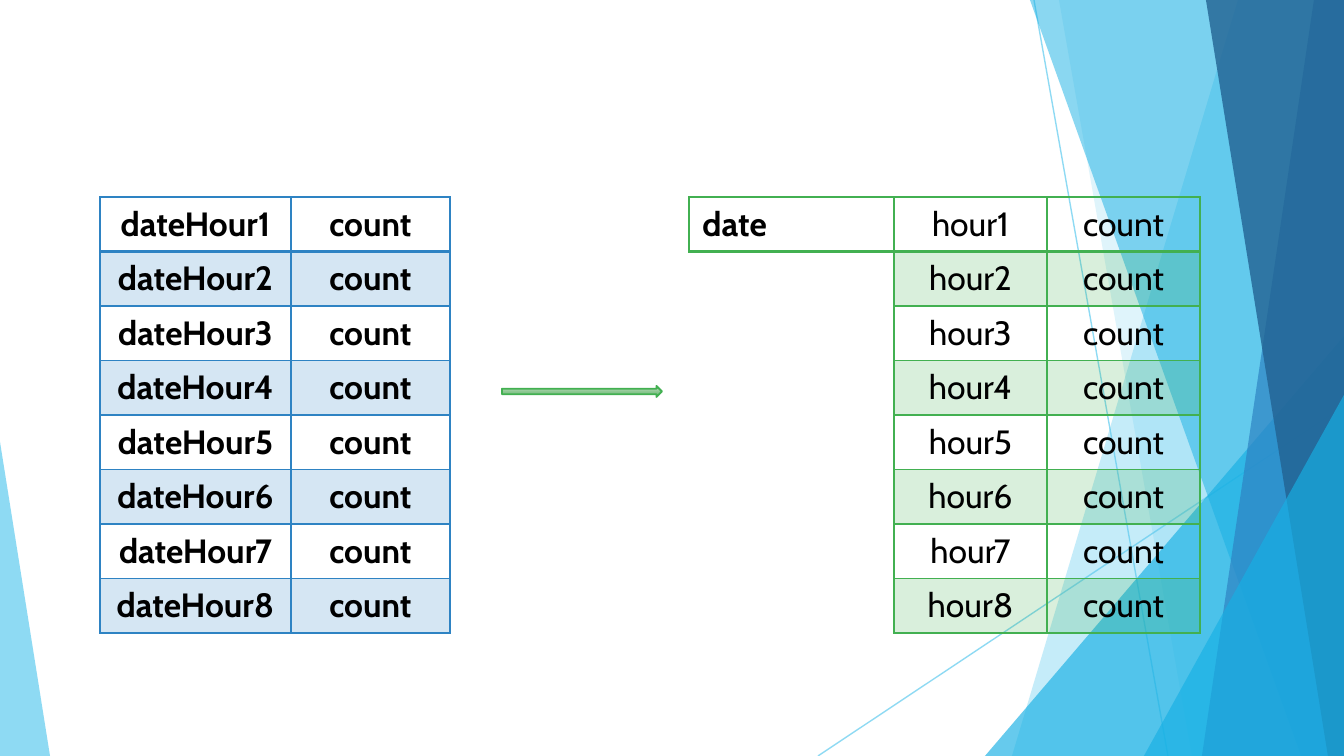
from dataclasses import dataclass

from lxml import etree
from pptx import Presentation
from pptx.dml.color import RGBColor
from pptx.enum.shapes import MSO_CONNECTOR, MSO_SHAPE
from pptx.enum.text import PP_ALIGN
from pptx.oxml.ns import qn
from pptx.util import Emu, Pt

TRIANGLE, RIGHT_ARROW = MSO_SHAPE.ISOSCELES_TRIANGLE, MSO_SHAPE.RIGHT_ARROW
STRAIGHT = MSO_CONNECTOR.STRAIGHT
LEFT, CENTER = PP_ALIGN.LEFT, PP_ALIGN.CENTER
PX = 914400 / 134.4
PAGE_WIDTH, PAGE_HEIGHT = 1344, 756


@dataclass(frozen=True)
class Theme:
    font: str = "Cabin"
    text_size: int = 18
    text: str = "000000"
    blue: str = "2E83C3"
    green: str = "42B051"
    sky: str = "5FCBEF"
    cyan: str = "17B0E4"
    navy: str = "226292"
    arrow_stops: tuple = ((0, "C0DDC2"), (0.88, "6DBA74"))
    band_opacity: int = 20
    thin: float = 1
    thick: float = 2
    hairline: float = 0.75


THEME = Theme()

HOURS = range(1, 9)
TABLE_TOP, ROW_HEIGHT = 197, 54.5
TABLES = [
    {"left": 100, "columns": [191, 159], "color": THEME.blue, "bold": True, "align": CENTER,
     "rows": [(f"dateHour{hour}", "count") for hour in HOURS]},
    {"left": 894, "columns": [153, 153], "color": THEME.green, "bold": False, "align": CENTER,
     "rows": [(f"hour{hour}", "count") for hour in HOURS]},
    {"left": 689, "columns": [205], "color": THEME.green, "bold": True, "align": LEFT,
     "rows": [("date",)]},
]
ARROW = (502, 386, 160, 11)

# Facets run back to front.
# line: ends; band: top and bottom x, up to the right edge; triangle: left, top and apex (0 or 1)
FACETS = [
    ("line", (1034, 0, 1168, PAGE_HEIGHT), THEME.sky, 70),
    ("line", (PAGE_WIDTH, 406, 818, PAGE_HEIGHT), THEME.sky, 70),
    ("band", (1238, 1012), THEME.sky, 36),
    ("band", (1059, 1192), THEME.sky, 20),
    ("triangle", (985, 336, PAGE_WIDTH - 985, 1), THEME.cyan, 66),
    ("band", (1030, 1301), THEME.cyan, 50),
    ("band", (1314, 1202), THEME.blue, 70),
    ("band", (1206, 1328), THEME.navy, 80),
    ("triangle", (1144, 395, PAGE_WIDTH - 1144, 1), THEME.cyan, 66),
    ("triangle", (0, 442, 50, 0), THEME.sky, 70),
]


def px(*lengths):
    return [Emu(round(length * PX)) for length in lengths]


def rgb(color):
    return RGBColor.from_string(color)


def set_opacity(properties, percent):
    """Make the first colour inside a properties element translucent."""
    color = properties.find(".//" + qn("a:srgbClr"))
    etree.SubElement(color, qn("a:alpha"), val=str(percent * 1000))


def add_facet(page, kind, place, color, opacity):
    shapes = page.shapes
    if kind == "line":
        shape = shapes.add_connector(STRAIGHT, *px(*place))
        shape.line.color.rgb = rgb(color)
        shape.line.width = Pt(THEME.hairline)
        etree.SubElement(shape._element.spPr, qn("a:effectLst"))
    else:
        if kind == "band":
            top_x, bottom_x = place
            outline = shapes.build_freeform(top_x, 0, scale=PX)
            outline.add_line_segments([(PAGE_WIDTH, 0), (PAGE_WIDTH, PAGE_HEIGHT),
                                       (bottom_x, PAGE_HEIGHT)])
            shape = outline.convert_to_shape()
        else:
            left, top, width, apex = place
            shape = shapes.add_shape(TRIANGLE, *px(left, top, width, PAGE_HEIGHT - top))
            shape.adjustments[0] = apex
        shape.fill.solid()
        shape.fill.fore_color.rgb = rgb(color)
        shape.line.fill.background()
        shape.shadow.inherit = False
    set_opacity(shape._element.spPr, opacity)


def set_borders(cell, color, widths):
    """Draw the left, right, top and bottom borders, which precede the fill in the XML."""
    properties = cell._tc.get_or_add_tcPr()
    for index, (side, width) in enumerate(zip("LRTB", widths)):
        border = etree.Element(qn(f"a:ln{side}"), w=str(Pt(width)))
        fill = etree.SubElement(border, qn("a:solidFill"))
        etree.SubElement(fill, qn("a:srgbClr"), val=color)
        properties.insert(index, border)


def fill_cell(cell, text, row_index, table_data):
    color = table_data["color"]
    if row_index % 2:
        cell.fill.solid()
        cell.fill.fore_color.rgb = rgb(color)
        set_opacity(cell._tc.tcPr, THEME.band_opacity)
    else:
        cell.fill.background()
    top = THEME.thick if row_index == 1 else THEME.thin
    bottom = THEME.thick if row_index == 0 else THEME.thin
    set_borders(cell, color, (THEME.thin, THEME.thin, top, bottom))

    cell.text_frame.text = text
    para = cell.text_frame.paragraphs[0]
    para.alignment = table_data["align"]
    font = para.runs[0].font
    font.name, font.size, font.bold = THEME.font, Pt(THEME.text_size), table_data["bold"]
    font.color.rgb = rgb(THEME.text)


def add_data_table(page, table_data):
    rows, columns = table_data["rows"], table_data["columns"]
    frame = page.shapes.add_table(
        len(rows), len(columns),
        *px(table_data["left"], TABLE_TOP, sum(columns), ROW_HEIGHT * len(rows)))
    table = frame.table
    table.first_row = table.horz_banding = False
    for column, width in zip(table.columns, px(*columns)):
        column.width = width
    for row_index, texts in enumerate(rows):
        table.rows[row_index].height = px(ROW_HEIGHT)[0]
        for column_index, text in enumerate(texts):
            fill_cell(table.cell(row_index, column_index), text, row_index, table_data)


def add_arrow(page):
    arrow = page.shapes.add_shape(RIGHT_ARROW, *px(*ARROW))
    arrow.shadow.inherit = False
    arrow.fill.gradient()
    arrow.fill.gradient_angle = 270
    for stop, (position, color) in zip(arrow.fill.gradient_stops, THEME.arrow_stops):
        stop.position = position
        stop.color.rgb = rgb(color)
    arrow.line.color.rgb = rgb(THEME.green)
    arrow.line.width = Pt(THEME.thin)


def main():
    deck = Presentation()
    deck.slide_width, deck.slide_height = px(PAGE_WIDTH, PAGE_HEIGHT)
    page = deck.slides.add_slide(deck.slide_layouts[6])
    for facet in FACETS:
        add_facet(page, *facet)
    for table_data in TABLES:
        add_data_table(page, table_data)
    add_arrow(page)
    deck.save("out.pptx")


if __name__ == "__main__":
    main()
